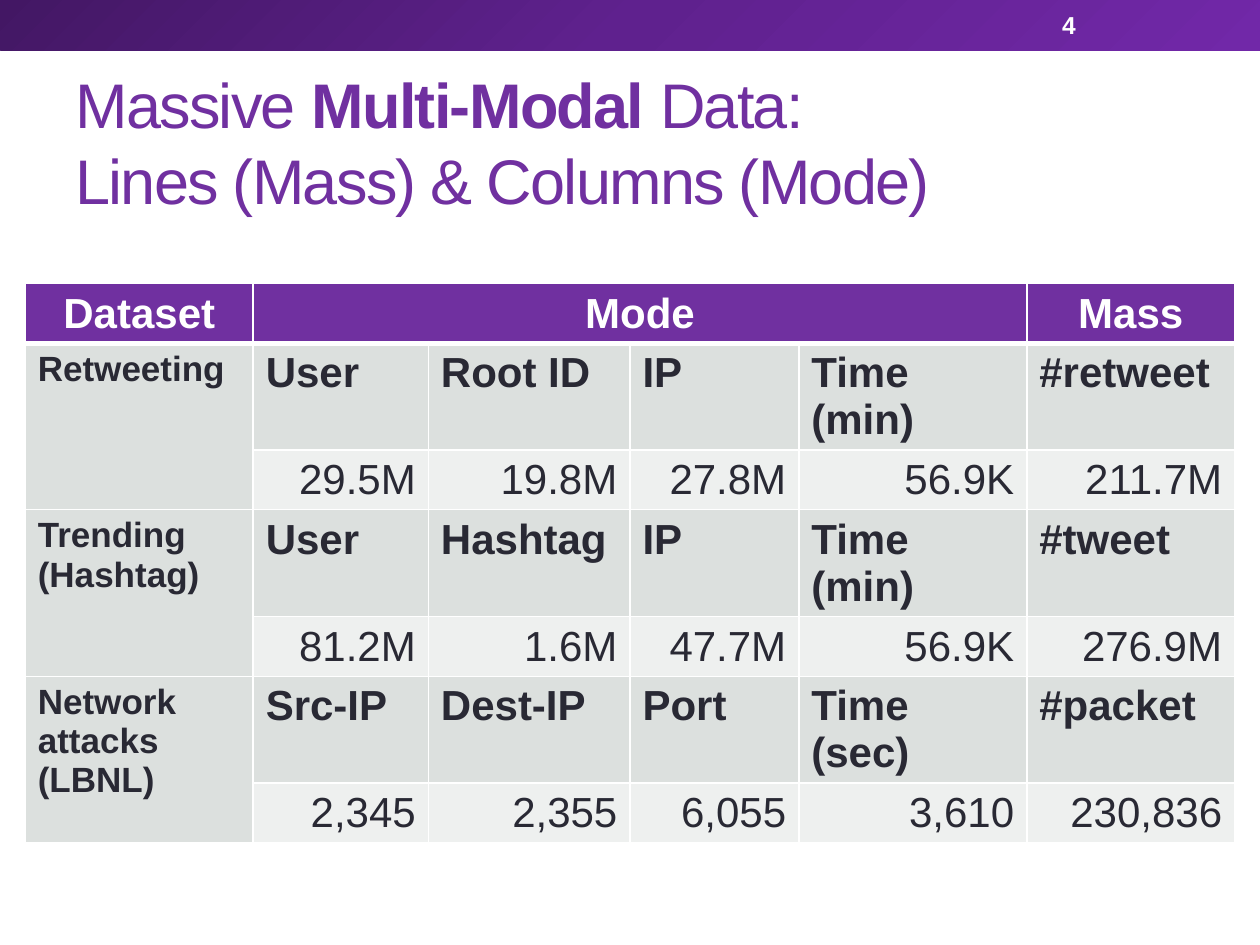
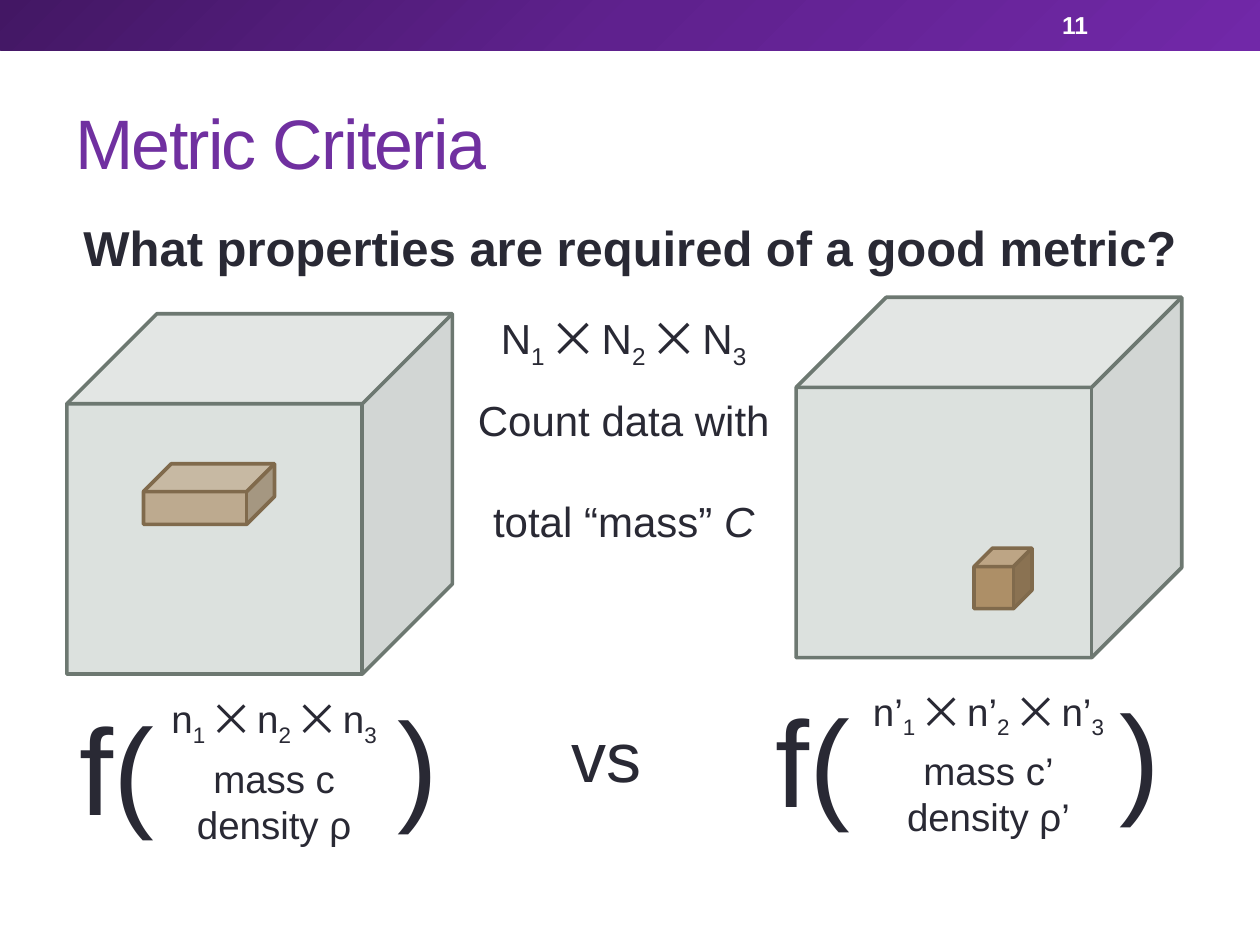
from copy import deepcopy
from dataclasses import dataclass

from lxml import etree
from pptx import Presentation
from pptx.dml.color import RGBColor
from pptx.enum.shapes import MSO_SHAPE
from pptx.enum.text import MSO_ANCHOR, PP_ALIGN
from pptx.oxml.ns import qn
from pptx.util import Pt

RECTANGLE, CUBE = MSO_SHAPE.RECTANGLE, MSO_SHAPE.CUBE
LEFT, CENTER, RIGHT = PP_ALIGN.LEFT, PP_ALIGN.CENTER, PP_ALIGN.RIGHT
TOP, MIDDLE = MSO_ANCHOR.TOP, MSO_ANCHOR.MIDDLE


@dataclass(frozen=True)
class Theme:
    font: str = "Arial"
    ink: str = "292934"
    white: str = "FFFFFF"
    purple: str = "7030A0"
    band: tuple = ("431764", "5F218E", "7128A8")
    label_fill: str = "DCE0DE"
    value_fill: str = "EEF0EF"
    tensor: str = "93A299"
    tensor_line: str = "6D7871"
    block: str = "AD8F67"
    block_line: str = "806A4C"
    cube_line: float = 2.08
    title: int = 40
    long_title: int = 36
    question: int = 28
    page_number: int = 14
    body: int = 24
    row_name: int = 20
    formula: int = 22
    bracket: int = 70
    text_leading: float = 1.2
    table_leading: float = 1.12


THEME = Theme()
SUBSCRIPT = {"baseline": "-25000"}


def color(value):
    return RGBColor.from_string(value)


def apply_format(target, values):
    for name, value in values.items():
        setattr(target, name, value)


def fill_paragraph(paragraph, runs, size, ink=THEME.ink, bold=False, align=LEFT,
                   leading=THEME.text_leading, spacing=None):
    apply_format(paragraph, {"alignment": align, "line_spacing": Pt(round(size * leading, 1))})
    for text, changes in runs:
        if text == "\n":
            paragraph.add_line_break()
            continue
        run = paragraph.add_run()
        run.text = text
        changes = dict(changes)
        baseline = changes.pop("baseline", None)
        apply_format(run.font, {"name": THEME.font, "size": Pt(size), "bold": bold, **changes})
        run.font.color.rgb = color(ink)
        for name, value in (("spc", spacing), ("baseline", baseline)):
            if value:
                run.font._element.set(name, value)


def fill_frame(frame, paragraphs, size, **style):
    for index, runs in enumerate(paragraphs):
        paragraph = frame.add_paragraph() if index else frame.paragraphs[0]
        if isinstance(runs, str):
            runs = [(runs, {})]
        fill_paragraph(paragraph, runs, size, **style)


def add_text(slide, box, paragraphs, size, anchor=TOP, wrap=True, **style):
    frame = slide.shapes.add_textbox(*map(Pt, box)).text_frame
    apply_format(frame, {"word_wrap": wrap, "vertical_anchor": anchor})
    fill_frame(frame, paragraphs, size, **style)
    return frame


def add_band(slide):
    band = slide.shapes.add_shape(RECTANGLE, 0, 0, Pt(720), Pt(28.8))
    band.shadow.inherit = False
    band.line.fill.background()
    band.fill.gradient()
    band.fill.gradient_angle = 315
    first = band.element.spPr.find(".//" + qn("a:gs"))
    first.addnext(deepcopy(first))
    for stop, position, value in zip(band.fill.gradient_stops, (0, 0.5, 1), THEME.band):
        stop.position = position
        stop.color.rgb = color(value)


def add_content_slide(presentation, number, title, title_size):
    slide = presentation.slides.add_slide(presentation.slide_layouts[6])
    add_band(slide)
    add_text(slide, (36, 41.8, 648, 77.8), [title], title_size, anchor=MIDDLE,
             ink=THEME.purple, spacing="-100")
    add_text(slide, (599.8, 1.4, 84.2, 26), [str(number)], THEME.page_number,
             anchor=MIDDLE, ink=THEME.white, bold=True)
    return slide


def add_cube(slide, box, fill, line, opacity=100, depth=0.25):
    cube = slide.shapes.add_shape(CUBE, *map(Pt, box))
    cube.shadow.inherit = False
    cube.adjustments[0] = depth
    cube.fill.solid()
    cube.fill.fore_color.rgb = color(fill)
    cube.line.color.rgb = color(line)
    cube.line.width = Pt(THEME.cube_line)
    if opacity < 100:
        tint = cube.element.spPr.find(qn("a:solidFill")).find(qn("a:srgbClr"))
        etree.SubElement(tint, qn("a:alpha"), val=str(opacity * 1000))


def style_cell(cell, fill, widths):
    properties = cell._tc.get_or_add_tcPr()
    for side, width in zip("LRTB", widths):
        border = etree.SubElement(properties, qn("a:ln" + side), w=str(Pt(width)))
        solid = etree.SubElement(border, qn("a:solidFill"))
        etree.SubElement(solid, qn("a:srgbClr"), val=THEME.white)
    cell.fill.solid()
    cell.fill.fore_color.rgb = color(fill)


def add_dataset_table(slide, datasets):
    widths = (130.3, 100.1, 115.2, 96.5, 130.3, 118.8)
    row_count = 1 + 2 * len(datasets)
    table = slide.shapes.add_table(row_count, len(widths), Pt(14.4), Pt(162),
                                   Pt(sum(widths)), Pt(29.5 * row_count)).table
    apply_format(table, {"first_row": False, "horz_banding": False})
    for column, width in zip(table.columns, widths):
        column.width = Pt(width)
    for row_index, row in enumerate(table.rows):
        row.height = Pt(29.5)
        for column_index, cell in enumerate(row.cells):
            is_label = row_index % 2 or column_index == 0
            fill = THEME.label_fill if is_label else THEME.value_fill
            style_cell(cell, fill if row_index else THEME.purple,
                       (1, 1, 3 if row_index == 1 else 1, 1 if row_index else 3))

    def write(row, column, paragraphs, size=THEME.body, **style):
        fill_frame(table.cell(row, column).text_frame, paragraphs, size,
                   leading=THEME.table_leading, **style)

    table.cell(0, 1).merge(table.cell(0, 4))
    for column, heading in ((0, "Dataset"), (1, "Mode"), (5, "Mass")):
        write(0, column, [heading], ink=THEME.white, bold=True, align=CENTER)
    for index, (name, labels, values) in enumerate(datasets):
        row = 1 + 2 * index
        table.cell(row, 0).merge(table.cell(row + 1, 0))
        write(row, 0, name, THEME.row_name, bold=True)
        for column, (label, value) in enumerate(zip(labels, values), start=1):
            write(row, column, [label], bold=True)
            write(row + 1, column, [value], align=RIGHT)


def dimension_runs(symbol):
    runs = []
    for index in "123":
        runs += [(symbol if index == "1" else " ⨉ " + symbol, {}), (index, SUBSCRIPT)]
    return runs


def add_metric(slide, left, top, mark, formula_box, close_left, close_top):
    frame = add_text(slide, formula_box,
                     [dimension_runs("n" + mark), "mass c" + mark, "density ρ" + mark],
                     THEME.formula, wrap=False, align=CENTER)
    frame.paragraphs[1].space_before = Pt(4)
    add_text(slide, (left, top, 57.6, 92.2), ["f("], THEME.bracket, wrap=False)
    add_text(slide, (close_left, close_top, 36, 92.2), [")"], THEME.bracket, wrap=False)


def build_data_slide(presentation):
    title = [("Massive ", {}), ("Multi-Modal ", {"bold": True}), ("Data:", {}), ("\n", {}),
             ("Lines (Mass) & Columns (Mode)", {})]
    slide = add_content_slide(presentation, 4, title, THEME.long_title)
    add_dataset_table(slide, [
        (["Retweeting"],
         ("User", "Root ID", "IP", "Time (min)", "#retweet"),
         ("29.5M", "19.8M", "27.8M", "56.9K", "211.7M")),
        (["Trending (Hashtag)"],
         ("User", "Hashtag", "IP", "Time (min)", "#tweet"),
         ("81.2M", "1.6M", "47.7M", "56.9K", "276.9M")),
        (["Network attacks", "(LBNL)"],
         ("Src-IP", "Dest-IP", "Port", "Time (sec)", "#packet"),
         ("2,345", "2,355", "6,055", "3,610", "230,836")),
    ])


def build_metric_slide(presentation):
    slide = add_content_slide(presentation, 11, "Metric Criteria", THEME.title)
    add_text(slide, (36, 121, 648, 51), ["What properties are required of a good metric?"],
             THEME.question, bold=True, align=CENTER)
    for left, top in ((38.2, 179.3), (455, 169.9)):
        add_cube(slide, (left, top, 220.3, 205.9), THEME.tensor, THEME.tensor_line, opacity=32)
    add_cube(slide, (82, 265, 74.9, 34.6), THEME.block, THEME.block_line, opacity=66, depth=0.46)
    add_cube(slide, (556.6, 313.2, 33.1, 34.6), THEME.block, THEME.block_line, depth=0.32)

    add_text(slide, (270, 179.3, 172.8, 36), [dimension_runs("N")], THEME.body, align=CENTER)
    mass = add_text(slide, (263.5, 221.8, 185.8, 94),
                    ["Count data with", [("total “mass” ", {}), ("C", {"italic": True})]],
                    THEME.body, align=CENTER)
    mass.paragraphs[1].space_before = Pt(28.8)

    add_metric(slide, 38.2, 392.4, "", (88.6, 397.4, 136.1, 87.1), 220.3, 388.8)
    add_metric(slide, 436.3, 388.1, "’", (489.6, 393.1, 150.5, 87.1), 632.9, 385.2)
    add_text(slide, (319.7, 403.9, 60.5, 55.4), ["vs"], THEME.title)


def main():
    presentation = Presentation()
    apply_format(presentation, {"slide_width": Pt(720), "slide_height": Pt(540)})
    build_data_slide(presentation)
    build_metric_slide(presentation)
    presentation.save("out.pptx")


if __name__ == "__main__":
    main()
